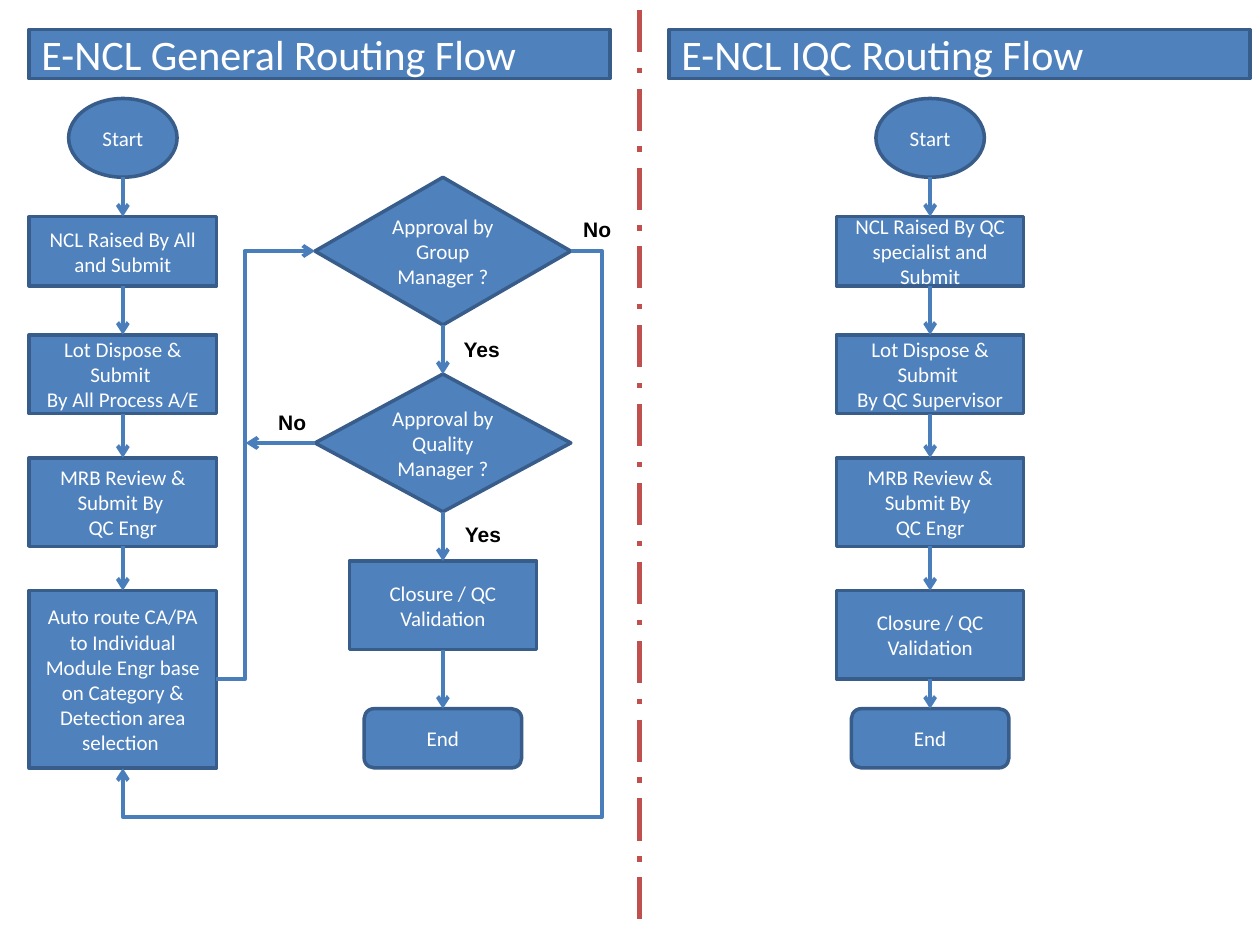
import pptx
import pptx.util
import pptx.dml.color
import pptx.enum.dml
import pptx.enum.shapes
import pptx.enum.text
import pptx.oxml
import pptx.oxml.ns

Pt = pptx.util.Pt
SHAPE = pptx.enum.shapes.MSO_SHAPE
CONNECTOR = pptx.enum.shapes.MSO_CONNECTOR
ALIGN = pptx.enum.text.PP_ALIGN
qn = pptx.oxml.ns.qn

COLORS = {"fill": "4F81BD", "border": "385D8A", "arrow": "4A7EBB",
          "divider": "C0504D", "light": "FFFFFF", "dark": "000000"}
TOP, LEFT, BOTTOM, RIGHT = range(4)

BANNERS = [("E-NCL General Routing Flow", 16.6), ("E-NCL IQC Routing Flow", 382.3)]

SIZES = {"start": (62, 45), "raise": (107, 39.6), "dispose": (107, 45),
         "review": (107, 50.6), "route": (107, 101.5), "group": (146.2, 84.4),
         "quality": (146.2, 78.7), "closure": (107, 50.6), "end": (90, 33.8)}
OUTLINES = {"start": SHAPE.OVAL, "group": SHAPE.FLOWCHART_DECISION,
            "quality": SHAPE.FLOWCHART_DECISION, "end": SHAPE.ROUNDED_RECTANGLE}

FLOWS = [
    (70.2, [
        ("start", 56.3, "Start"),
        ("raise", 123.8, "NCL Raised By All and Submit"),
        ("dispose", 191.3, "Lot Dispose & Submit \nBy All Process A/E"),
        ("review", 261.6, "MRB Review & Submit By \nQC Engr"),
        ("route", 337.5, "Auto route CA/PA to Individual Module Engr base "
                         "on Category & Detection area selection "),
    ]),
    (253.1, [
        ("group", 101.3, "Approval by Group Manager ?"),
        ("quality", 213.8, "Approval by Quality Manager ?"),
        ("closure", 320.6, "Closure / QC Validation"),
        ("end", 405, "End"),
    ]),
    (531.5, [
        ("start", 56.3, "Start"),
        ("raise", 123.8, "NCL Raised By QC specialist and Submit"),
        ("dispose", 191.3, "Lot Dispose & Submit \nBy QC Supervisor"),
        ("review", 261.6, "MRB Review & Submit By \nQC Engr"),
        ("closure", 337.5, "Closure / QC Validation"),
        ("end", 405, "End"),
    ]),
]

ANSWERS = [("Yes", 257.8, 188.6, 39.6), ("No", 326.2, 120.2, 33.8),
           ("Yes", 258.5, 294.5, 39.6), ("No", 151.9, 230.4, 33.8)]

presentation = pptx.Presentation()
presentation.slide_width, presentation.slide_height = Pt(720), Pt(540)
slide = presentation.slides.add_slide(presentation.slide_layouts[6])


def rgb(name):
    return pptx.dml.color.RGBColor.from_string(COLORS[name])


def write(frame, text, size=12, font="Calibri", color="light", bold=False, align=ALIGN.CENTER):
    frame.word_wrap = True
    frame.text = text
    for paragraph in frame.paragraphs:
        paragraph.alignment = align
        paragraph.font.size = Pt(size)
        paragraph.font.name = font
        paragraph.font.bold = bold
        paragraph.font.color.rgb = rgb(color)


def add_box(outline, left, top, width, height, text, **text_format):
    box = slide.shapes.add_shape(outline, Pt(left), Pt(top), Pt(width), Pt(height))
    box.shadow.inherit = False
    box.fill.solid()
    box.fill.fore_color.rgb = rgb("fill")
    box.line.color.rgb = rgb("border")
    box.line.width = Pt(2)
    box.text_frame.vertical_anchor = pptx.enum.text.MSO_ANCHOR.MIDDLE
    write(box.text_frame, text, **text_format)
    return box


def add_line(start, end, kind=CONNECTOR.STRAIGHT, color="arrow", width=2.25, dash=None, arrow=True):
    line = slide.shapes.add_connector(kind, *start, *end)
    line.line.color.rgb = rgb(color)
    line.line.width = Pt(width)
    if dash is not None:
        line.line.dash_style = dash
    properties = line.element.spPr
    if arrow:
        pptx.oxml.ns
        tip = properties.find(qn("a:ln")).makeelement(qn("a:tailEnd"), {"type": "arrow"})
        properties.find(qn("a:ln")).append(tip)
    properties.append(properties.makeelement(qn("a:effectLst"), {}))
    return line


def side(box, position):
    across = {LEFT: 0, RIGHT: box.width}.get(position, box.width // 2)
    down = {TOP: 0, BOTTOM: box.height}.get(position, box.height // 2)
    return box.left + across, box.top + down


def add_elbow(source, source_side, target, target_side, preset, adjustments):
    elbow = add_line(side(source, source_side), side(target, target_side), CONNECTOR.ELBOW)
    elbow.begin_connect(source, source_side)
    elbow.end_connect(target, target_side)
    geometry = elbow.element.spPr.find(qn("a:prstGeom"))
    geometry.set("prst", preset)
    guides = geometry.find(qn("a:avLst"))
    for number, value in enumerate(adjustments, 1):
        guides.append(guides.makeelement(
            qn("a:gd"), {"name": f"adj{number}", "fmla": f"val {value}"}))


for title, left in BANNERS:
    add_box(SHAPE.RECTANGLE, left, 16.9, 331.9, 28.1, title, size=24, align=ALIGN.LEFT)

columns = []
for center, steps in FLOWS:
    boxes = {}
    previous = None
    for step, top, text in steps:
        width, height = SIZES[step]
        box = add_box(OUTLINES.get(step, SHAPE.RECTANGLE),
                      center - width / 2, top, width, height, text)
        if previous is not None:
            arrow = add_line(side(previous, BOTTOM), side(box, TOP))
            if previous is not boxes.get("start"):
                arrow.begin_connect(previous, BOTTOM)
            arrow.end_connect(box, TOP)
        boxes[step] = previous = box
    columns.append(boxes)

routing, approval, _ = columns
add_elbow(routing["route"], RIGHT, approval["group"], LEFT, "bentConnector3", [28700])
add_elbow(approval["group"], RIGHT, routing["route"], BOTTOM, "bentConnector4", [-7000, 109400])
rejection_start = side(approval["quality"], LEFT)
rejection = add_line(rejection_start, (Pt(140.4), rejection_start[1]))
rejection.begin_connect(approval["quality"], LEFT)

for answer, left, top, width in ANSWERS:
    label = slide.shapes.add_textbox(Pt(left), Pt(top), Pt(width), Pt(21.6))
    write(label.text_frame, answer, font="Arial", color="dark", bold=True, align=ALIGN.LEFT)

add_line((Pt(365.6), Pt(5.6)), (Pt(365.6), Pt(534.4)), color="divider", width=3,
         dash=pptx.enum.dml.MSO_LINE.LONG_DASH_DOT, arrow=False)

presentation.save("out.pptx")
